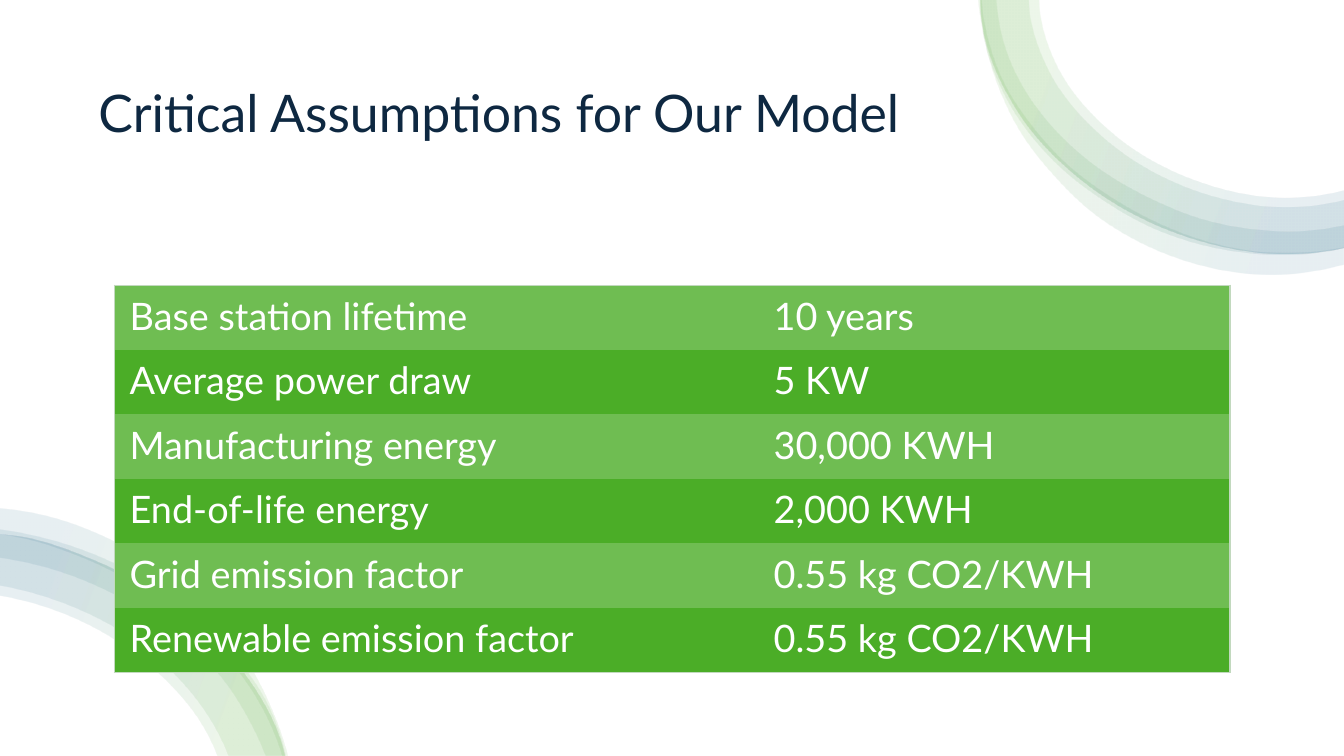
from collections import namedtuple
from dataclasses import dataclass
from math import dist

from pptx import Presentation
from pptx.dml.color import RGBColor
from pptx.enum.shapes import MSO_SHAPE
from pptx.enum.text import MSO_ANCHOR
from pptx.oxml import parse_xml
from pptx.oxml.ns import nsdecls
from pptx.util import Pt

MIDDLE = MSO_ANCHOR.MIDDLE
RECTANGLE = MSO_SHAPE.RECTANGLE
Box = namedtuple("Box", "left top width height")


@dataclass(frozen=True)
class Theme:
    font: str = "Lato"
    title_size: float = 37
    table_size: float = 27
    white: str = "FFFFFF"
    navy: str = "0E2841"
    green: str = "4EA72E"
    teal: str = "156082"
    row_light: str = "6FBD52"
    row_dark: str = "4BAD27"
    table_border: str = "C2D9BE"
    band_opacity: int = 10


THEME = Theme()

ASSUMPTIONS = [
    ("Base station lifetime", "10 years"),
    ("Average power draw", "5 KW"),
    ("Manufacturing energy", "30,000 KWH"),
    ("End-of-life energy", "2,000 KWH"),
    ("Grid emission factor", "0.55 kg CO2/KWH"),
    ("Renewable emission factor", "0.55 kg CO2/KWH"),
]

# Each band is an outer and an inner edge, as points within the box of its ring.
TOP_RIM = [(1.5, 0), (2.3, 14), (27.5, 79), (78.6, 132.5), (146.3, 168),
           (222, 181), (261, 176.5)]
TOP_RIGHT_BANDS = [
    (TOP_RIM, [(43.3, 0), (44, 9), (57, 49), (97.3, 96.5), (155.6, 129),
               (222, 141), (261, 135.5)]),
    (TOP_RIM, [(36, 0), (36.8, 10), (51.2, 52.5), (93, 101.5), (153.5, 135.5),
               (222, 147.6), (261, 142.5)]),
    ([(1.5, 0), (5, 31), (16.7, 64), (60, 121), (89.4, 143.3), (121, 161.3),
      (193, 180.7), (230.5, 181.5), (261, 177)],
     [(13, 0), (17.4, 28), (29.6, 58.3), (48.4, 85.7), (72, 109.5), (129, 144.7),
      (161.4, 157), (195.2, 163.5), (229, 165), (261, 160.5)]),
    ([(0, 0), (1, 9.4), (14.5, 62.6), (31, 95.8), (54, 125.3), (82, 152),
      (115.3, 172.8), (191, 195), (211, 196), (231, 194.5), (261, 188.6)],
     [(2.3, 0), (6.6, 26.6), (19, 60.5), (39, 90.7), (63.5, 117.4), (92.3, 139),
      (124, 157), (158, 170.6), (193, 178.6), (230, 180), (261, 176.4)]),
]

BOTTOM_RIM = [(0, 18.6), (8, 19.3), (69, 38), (124.6, 69), (169, 111.5),
              (198.7, 162.6), (203, 177)]
BOTTOM_LEFT_BANDS = [
    ([(0, 0), (21, 2.8), (82.8, 24.4), (119.5, 47.4), (151.2, 77), (176.4, 110),
      (195, 146.8), (205.2, 177)],
     [(0, 18.6), (16.6, 21.5), (54.7, 33.7), (108.7, 61.8), (140.4, 86.3),
      (168.5, 115), (190, 149), (201, 177)]),
    (BOTTOM_RIM, [(0, 62.5), (38.2, 72.6), (103, 109.3), (147.6, 161.2), (154.8, 177)]),
    ([(0, 15.7), (17.3, 18.6), (76.3, 37.3), (112.3, 56.8), (144, 82), (193, 144.6),
      (203.8, 177)],
     [(0, 35.9), (31.7, 42.4), (67.7, 55.3), (131, 95), (157.7, 120.8),
      (177.8, 151.8), (189.4, 177)]),
    (BOTTOM_RIM, [(0, 55.3), (40.3, 66), (108, 103.6), (154, 158.3), (162.7, 177)]),
]


def color(value):
    return RGBColor.from_string(value)


def set_font(paragraph, size, value):
    paragraph.font.name = THEME.font
    paragraph.font.size = Pt(size)
    paragraph.font.color.rgb = color(value)


def smooth(points):
    """Return the Bézier segments (control, control, end) of a curve through points."""
    gaps = [dist(a, b) for a, b in zip(points, points[1:])]
    slopes = [((b[0] - a[0]) / gap, (b[1] - a[1]) / gap)
              for a, b, gap in zip(points, points[1:], gaps)]
    tangents = [tuple((s * after + t * before) / (before + after) for s, t in zip(u, v))
                for u, v, before, after in zip(slopes, slopes[1:], gaps, gaps[1:])]
    first = tuple(2 * s - t for s, t in zip(slopes[0], tangents[0]))
    last = tuple(2 * s - t for s, t in zip(slopes[-1], tangents[-1]))
    tangents = [first, *tangents, last]
    return [(tuple(p + t * gap / 3 for p, t in zip(a, u)),
             tuple(p - t * gap / 3 for p, t in zip(b, v)), b)
            for a, b, u, v, gap in zip(points, points[1:], tangents, tangents[1:], gaps)]


def gradient(angle):
    stops = [(16, THEME.green), (85, THEME.teal)]
    stop_xml = "".join(
        f'<a:gs pos="{place * 1000}"><a:srgbClr val="{value}">'
        f'<a:alpha val="{THEME.band_opacity * 1000}"/></a:srgbClr></a:gs>'
        for place, value in stops)
    return parse_xml(f'<a:gradFill {nsdecls("a")} rotWithShape="1"><a:gsLst>{stop_xml}'
                     f'</a:gsLst><a:lin ang="{angle * 60000}" scaled="0"/></a:gradFill>')


def add_ring(page, box, bands, angle):
    def place(point):
        return Pt(box.left + point[0]), Pt(box.top + point[1])

    for outer, inner in bands:
        inner = inner[::-1]
        corners = [place(point) for point in outer + inner]
        builder = page.shapes.build_freeform(*corners[0], scale=1.0)
        builder.add_line_segments(corners[1:], close=True)
        band = builder.convert_to_shape()
        lines = list(band._element.iter("{*}lnTo"))
        curves = smooth(outer) + [None] + smooth(inner)
        for line, curve in zip(lines, curves):
            if curve is None:
                continue
            points_xml = "".join(f'<a:pt x="{x - band.left}" y="{y - band.top}"/>'
                                 for x, y in map(place, curve))
            line.getparent().replace(line, parse_xml(
                f'<a:cubicBezTo {nsdecls("a")}>{points_xml}</a:cubicBezTo>'))
        band.shadow.inherit = False
        band.line.fill.background()
        band.fill.background()
        plain_fill = band._element.spPr.find("{*}noFill")
        plain_fill.getparent().replace(plain_fill, gradient(angle))


def add_backdrop(page, box):
    backdrop = page.shapes.add_shape(RECTANGLE, *map(Pt, box))
    backdrop.shadow.inherit = False
    backdrop.line.fill.background()
    backdrop.fill.solid()
    backdrop.fill.fore_color.rgb = color(THEME.white)


def add_title(page, box, text):
    frame = page.shapes.add_textbox(*map(Pt, box)).text_frame
    frame.word_wrap = True
    frame.vertical_anchor = MIDDLE
    paragraph = frame.paragraphs[0]
    paragraph.text = text
    paragraph.line_spacing = 0.9
    set_font(paragraph, THEME.title_size, THEME.navy)


def set_borders(cell, shown):
    """Draw the borders whose letters (L, R, T, B) are in shown; clear the others."""
    properties = cell._tc.get_or_add_tcPr()
    for index, side in enumerate("LRTB"):
        fill = (f'<a:solidFill><a:srgbClr val="{THEME.table_border}"/></a:solidFill>'
                if side in shown else "<a:noFill/>")
        properties.insert(index, parse_xml(
            f'<a:ln{side} {nsdecls("a")} w="{Pt(1)}">{fill}</a:ln{side}>'))


def add_assumptions(page, box, rows, first_width):
    table = page.shapes.add_table(len(rows), 2, *map(Pt, box)).table
    table.first_row = table.horz_banding = False
    for column, width in zip(table.columns, (first_width, box.width - first_width)):
        column.width = Pt(width)
    for row_index, texts in enumerate(rows):
        table.rows[row_index].height = Pt(box.height / len(rows))
        for column_index, text in enumerate(texts):
            cell = table.cell(row_index, column_index)
            cell.margin_left = cell.margin_right = Pt(11)
            cell.margin_top = cell.margin_bottom = Pt(5.5)
            cell.fill.solid()
            cell.fill.fore_color.rgb = color(
                THEME.row_dark if row_index % 2 else THEME.row_light)
            paragraph = cell.text_frame.paragraphs[0]
            paragraph.text = text
            set_font(paragraph, THEME.table_size, THEME.white)
            shown = "LR"[column_index]
            if row_index == 0:
                shown += "T"
            if row_index == len(rows) - 1:
                shown += "B"
            set_borders(cell, shown)


def main():
    deck = Presentation()
    deck.slide_width, deck.slide_height = Pt(960), Pt(540)
    page = deck.slides.add_slide(deck.slide_layouts[6])
    add_backdrop(page, Box(0, 0, 960, 540))
    add_title(page, Box(63.3, 36, 833, 93.6), "Critical Assumptions for Our Model")
    add_ring(page, Box(699, 0, 261, 196), TOP_RIGHT_BANDS, 20)
    add_ring(page, Box(0, 363, 206, 177), BOTTOM_LEFT_BANDS, 200)
    add_assumptions(page, Box(81.6, 203.8, 797, 276.6), ASSUMPTIONS, 460)
    deck.save("out.pptx")


if __name__ == "__main__":
    main()
